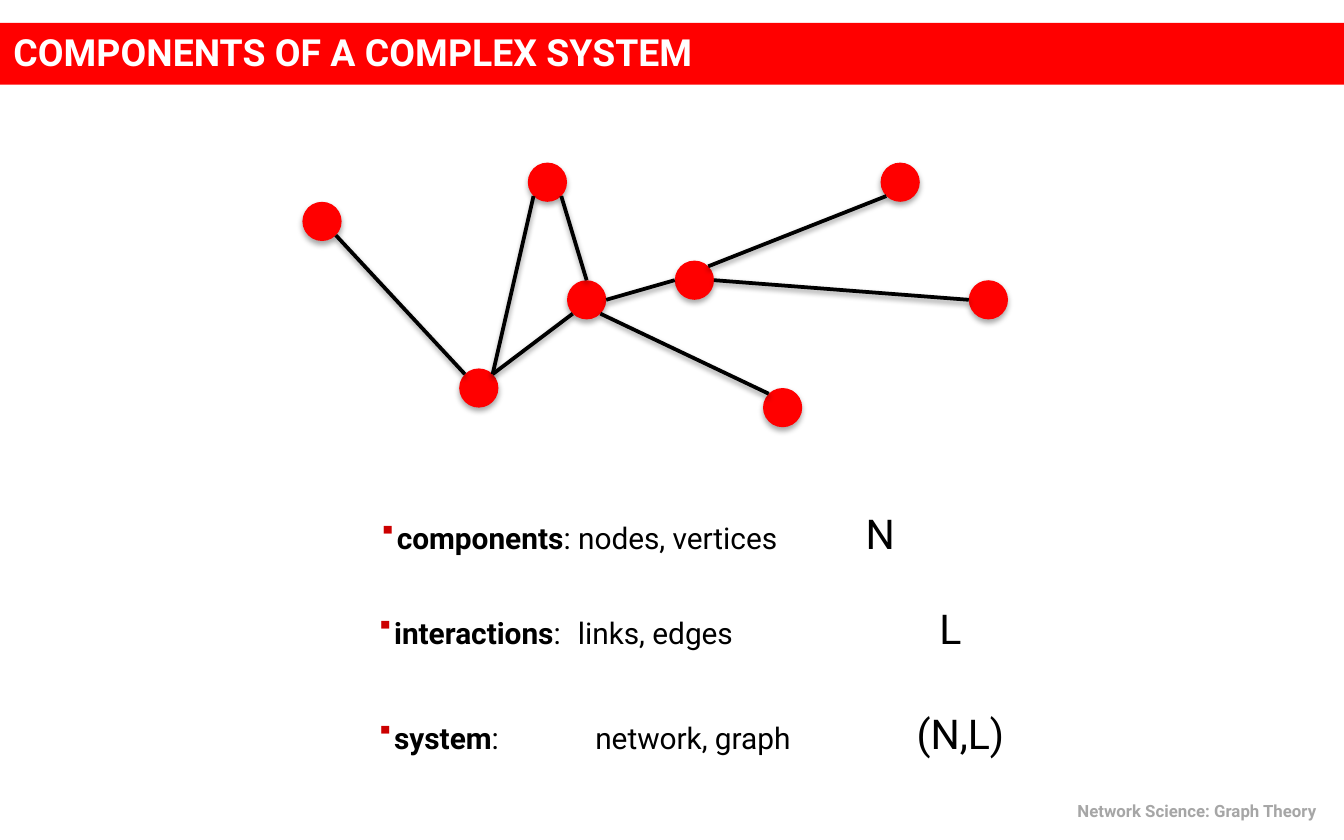
import math

import lxml.etree
import pptx
import pptx.dml.color
import pptx.enum.shapes
import pptx.enum.text
import pptx.oxml
import pptx.oxml.ns
import pptx.util

WIDTH, HEIGHT = 10, 6.25
FONT = "Roboto"
RED, BLACK, WHITE, GREY, BULLET_RED = "FF0000", "000000", "FFFFFF", "A6A6A6", "CC0000"

GRID_COLUMNS = 72
NODE_CELLS = 4
NODES = {
    "left": (0, 4),
    "bottom": (16, 21),
    "top": (23, 0),
    "hub": (27, 12),
    "branch": (38, 10),
    "upper right": (59, 0),
    "right": (68, 12),
    "lower right": (47, 23),
}
COMPASS = {"E": 0, "SE": 45, "SW": 135, "W": 180, "NW": 225, "N": 270, "NE": 315}
LINKS = [
    ("left", "SE", "bottom", "NW"),
    ("bottom", "NE", "hub", "SW"),
    ("top", "SE", "hub", "N"),
    ("top", "SW", "bottom", "NE"),
    ("hub", "E", "branch", "W"),
    ("branch", "NE", "upper right", "SW"),
    ("hub", "SE", "lower right", "NW"),
    ("branch", "E", "right", "W"),
]
TERMS = [
    ((2.79, 3.78, 4.8, 0.36), "components", ": nodes, vertices\t", "N", [3.65]),
    ((2.77, 4.49, 4.8, 0.36), "interactions", ":\tlinks, edges\t", "L", [1.53, 4.22]),
    ((2.77, 5.27, 4.8, 0.36), "system", ":\tnetwork, graph\t", "(N,L)", [1.66, 4.05]),
]


def colour(value):
    return pptx.dml.color.RGBColor.from_string(value)


def inches(values):
    return [pptx.util.Inches(value) for value in values]


def style(span, size, fill, bold=False):
    span.font.name = FONT
    span.font.size = pptx.util.Pt(size)
    span.font.bold = bold
    span.font.color.rgb = colour(fill)


def add_shadow(shape, opacity, distance):
    namespace = pptx.oxml.ns.nsdecls("a")
    shape.element.spPr.append(pptx.oxml.parse_xml(
        f'<a:effectLst {namespace}><a:outerShdw blurRad="{pptx.util.Pt(3.1)}" '
        f'dist="{pptx.util.Pt(distance)}" dir="5400000" rotWithShape="0">'
        f'<a:srgbClr val="{BLACK}"><a:alpha val="{opacity * 1000}"/></a:srgbClr>'
        '</a:outerShdw></a:effectLst>'
    ))


def add_title(page, box, text):
    title = page.shapes.title
    title.left, title.top, title.width, title.height = inches(box)
    title.fill.solid()
    title.fill.fore_color.rgb = colour(RED)
    frame = title.text_frame
    frame.text = text
    frame.auto_size = pptx.enum.text.MSO_AUTO_SIZE.NONE
    frame.vertical_anchor = pptx.enum.text.MSO_ANCHOR.MIDDLE
    frame.margin_top, frame.margin_bottom = inches((0.03, 0.06))
    para = frame.paragraphs[0]
    para.alignment = pptx.enum.text.PP_ALIGN.LEFT
    style(para.runs[0], 20, WHITE, True)


def add_network(page, box):
    left, top, width, _ = box
    cell = width / GRID_COLUMNS
    size = NODE_CELLS * cell
    nodes = page.shapes.add_group_shape()
    links = page.shapes.add_group_shape()

    def rim(name, side):
        column, row = NODES[name]
        angle = math.radians(COMPASS[side])
        return inches((
            left + column * cell + size / 2 * (1 + math.cos(angle)),
            top + row * cell + size / 2 * (1 + math.sin(angle)),
        ))

    for column, row in NODES.values():
        node = nodes.shapes.add_shape(
            pptx.enum.shapes.MSO_SHAPE.OVAL,
            *inches((left + column * cell, top + row * cell, size, size)),
        )
        node.fill.solid()
        node.fill.fore_color.rgb = colour(RED)
        node.line.fill.background()
        add_shadow(node, 35, 1.8)

    for start, start_side, end, end_side in LINKS:
        link = links.shapes.add_connector(
            pptx.enum.shapes.MSO_CONNECTOR.STRAIGHT,
            *rim(start, start_side), *rim(end, end_side),
        )
        link.line.color.rgb = colour(BLACK)
        link.line.width = pptx.util.Pt(2)
        add_shadow(link, 38, 1.6)


def add_bullet(para, tab_stops):
    properties = para._p.get_or_add_pPr()
    properties.set("marL", str(pptx.util.Inches(0.03)))
    properties.set("indent", "0")
    name = pptx.oxml.ns.qn
    bullet_colour = lxml.etree.SubElement(properties, name("a:buClr"))
    lxml.etree.SubElement(bullet_colour, name("a:srgbClr"), val=BULLET_RED)
    lxml.etree.SubElement(properties, name("a:buSzPct"), val="80000")
    lxml.etree.SubElement(properties, name("a:buChar"), char="▪")
    tabs = lxml.etree.SubElement(properties, name("a:tabLst"))
    for stop in tab_stops:
        lxml.etree.SubElement(tabs, name("a:tab"), pos=str(pptx.util.Inches(stop)), algn="l")


def add_term(page, box, term, meaning, symbol, tab_stops):
    frame = page.shapes.add_textbox(*inches(box)).text_frame
    frame.word_wrap = True
    frame.margin_left = frame.margin_top = frame.margin_right = frame.margin_bottom = 0
    para = frame.paragraphs[0]
    add_bullet(para, tab_stops)
    for text, size, bold in ((term, 16, True), (meaning, 16, False), (symbol, 22, False)):
        span = para.add_run()
        span.text = text
        style(span, size, BLACK, bold)


def add_footer(page, box, text):
    frame = page.shapes.add_textbox(*inches(box)).text_frame
    frame.word_wrap = True
    frame.text = text
    para = frame.paragraphs[0]
    para.alignment = pptx.enum.text.PP_ALIGN.RIGHT
    style(para.runs[0], 9, GREY, True)


def main():
    deck = pptx.Presentation()
    deck.slide_width, deck.slide_height = inches((WIDTH, HEIGHT))
    page = deck.slides.add_slide(deck.slide_layouts[5])
    add_title(page, (0, 0.17, WIDTH, 0.46), "COMPONENTS OF A COMPLEX SYSTEM")
    add_footer(page, (7.08, 5.91, 2.81, 0.25), "Network Science: Graph Theory")
    add_network(page, (2.25, 1.21, 5.25, 1.97))
    for term in TERMS:
        add_term(page, *term)
    deck.save("out.pptx")


if __name__ == "__main__":
    main()
